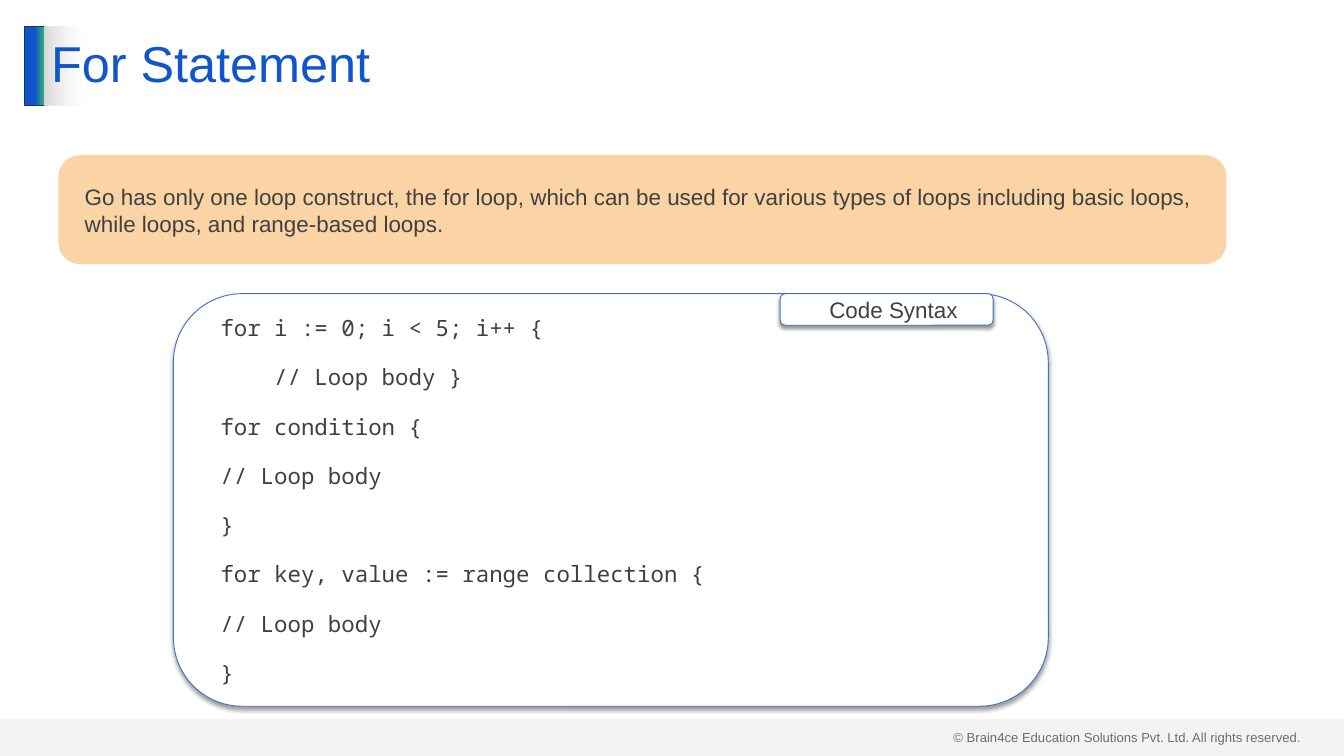
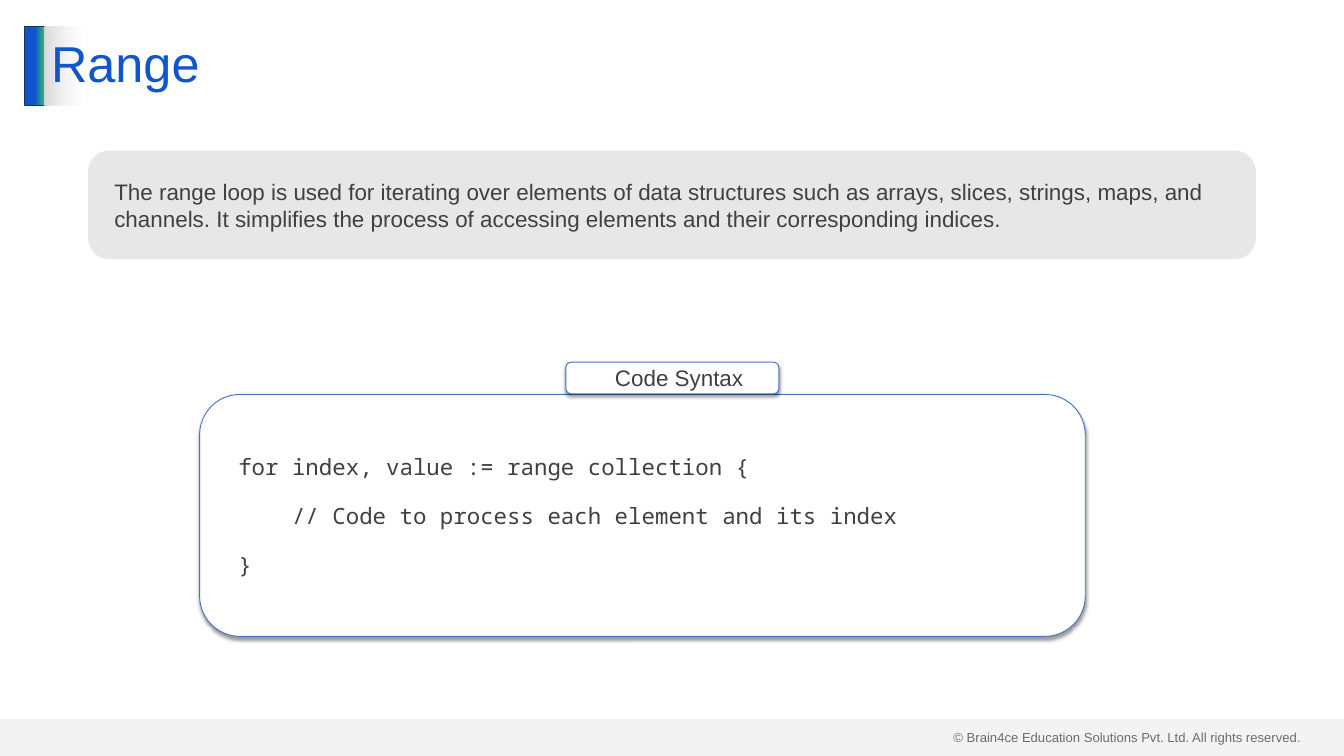
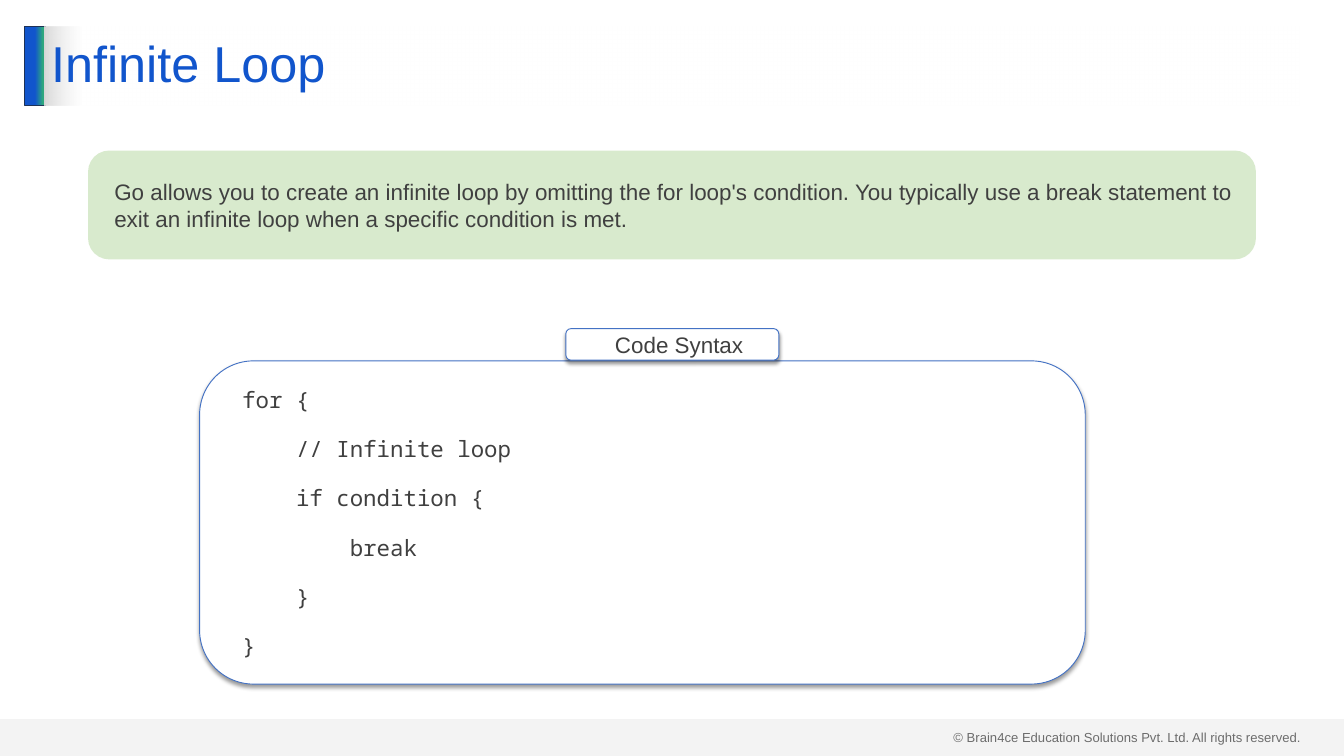
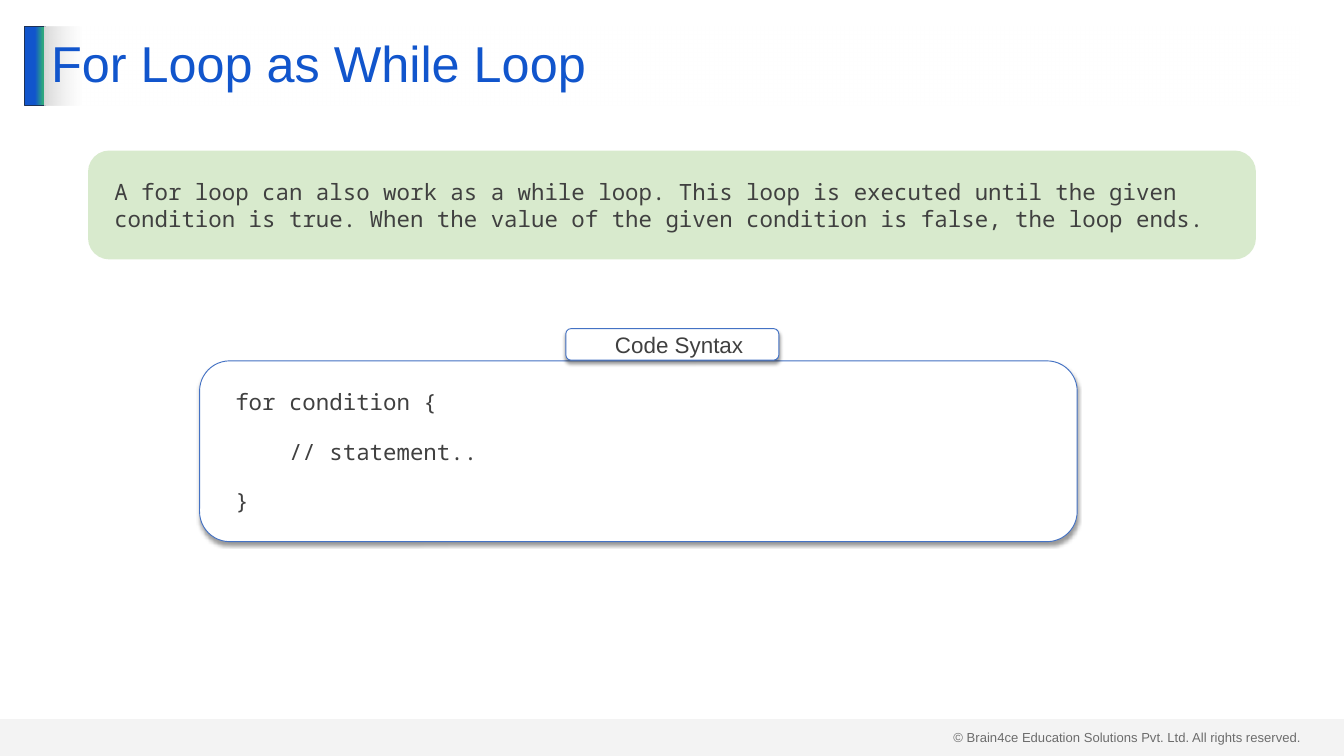
from dataclasses import dataclass

import pptx
import pptx.dml.color
import pptx.enum.shapes
import pptx.enum.text
import pptx.oxml.ns
import pptx.util
from lxml import etree

Inches = pptx.util.Inches
Pt = pptx.util.Pt
qn = pptx.oxml.ns.qn
MSO_SHAPE = pptx.enum.shapes.MSO_SHAPE
PP_ALIGN = pptx.enum.text.PP_ALIGN
MSO_ANCHOR = pptx.enum.text.MSO_ANCHOR
MSO_AUTO_SIZE = pptx.enum.text.MSO_AUTO_SIZE


@dataclass(frozen=True)
class Theme:
    sans: str = "Arial"
    mono: str = "Noto Sans Mono"
    title_size: int = 54
    body_size: int = 24
    footer_size: int = 14
    white: str = "FFFFFF"
    black: str = "000000"
    text: str = "404040"
    blue: str = "1155CC"
    green: str = "2EA87D"
    navy: str = "1E3256"
    outline: str = "4472C4"
    gray: str = "D9D9D9"
    orange_note: str = "FABE79"
    gray_note: str = "DBDBDB"
    green_note: str = "C5E0B4"


def rgb(color):
    return pptx.dml.color.RGBColor.from_string(color)


def add_color(parent, color, alpha=100):
    clr = etree.SubElement(parent, qn("a:srgbClr"), val=color)
    if alpha < 100:
        etree.SubElement(clr, qn("a:alpha"), val=str(alpha * 1000))


class Deck:
    def __init__(self, theme):
        self.theme = theme
        self.prs = pptx.Presentation()
        self.prs.slide_width = Inches(20)
        self.prs.slide_height = Inches(11.25)
        self.layout = self.prs.slide_layouts[5]
        self.s = None

    def new_slide(self, title):
        first = self.s is None
        self.s = self.prs.slides.add_slide(self.layout)
        if first:
            self.decorate_layout()
        self.title(title)

    def decorate_layout(self):
        t = self.theme
        for ph in list(self.layout.placeholders)[1:]:
            ph._element.getparent().remove(ph._element)
        footer = self.s.shapes.add_textbox(*map(Inches, (14.09, 10.8, 5.41, 0.34)))
        tf = footer.text_frame
        tf.word_wrap = True
        tf.auto_size = MSO_AUTO_SIZE.SHAPE_TO_FIT_TEXT
        tf.text = "© Brain4ce Education Solutions Pvt. Ltd. All rights reserved."
        self.font(tf.paragraphs[0], t.sans, t.footer_size, t.text)
        accent = self.shape(MSO_SHAPE.RECTANGLE, (0.37, 0.39, 0.3, 1.18), line=t.navy)
        self.gradient(accent, [(51, t.blue, 100), (90, t.green, 100), (100, t.green, 100)])
        band = self.shape(MSO_SHAPE.RECTANGLE, (0, 10.7, 20, 0.55), t.gray, alpha=29)
        for sp in (footer, accent, band):
            self.layout.shapes._spTree.append(sp._element)

    def font(self, p, name, size, color):
        p.font.name = name
        p.font.size = Pt(size)
        p.font.color.rgb = rgb(color)

    def gradient(self, sp, stops):
        sp.fill.gradient()
        sp.fill.gradient_angle = 0
        stop_list = sp._element.spPr.find(qn("a:gradFill")).find(qn("a:gsLst"))
        for old in list(stop_list):
            stop_list.remove(old)
        for position, color, alpha in stops:
            stop = etree.SubElement(stop_list, qn("a:gs"), pos=str(position * 1000))
            add_color(stop, color, alpha)

    def shape(self, kind, box, fill=None, alpha=100, line=None):
        sp = self.s.shapes.add_shape(kind, *map(Inches, box))
        sp.shadow.inherit = False
        if fill:
            sp.fill.solid()
            sp.fill.fore_color.rgb = rgb(fill)
            if alpha < 100:
                clr = sp._element.spPr.find(qn("a:solidFill"))[0]
                etree.SubElement(clr, qn("a:alpha"), val=str(alpha * 1000))
        if line:
            sp.line.color.rgb = rgb(line)
            sp.line.width = Pt(1)
        else:
            sp.line.fill.background()
        return sp

    def title(self, text):
        t = self.theme
        sp = self.s.shapes.title
        sp.left, sp.top, sp.width, sp.height = map(Inches, (0.66, 0.39, 18.67, 1.18))
        self.gradient(sp, [(0, t.gray, 100), (3, t.white, 50)])
        tf = sp.text_frame
        tf.auto_size = MSO_AUTO_SIZE.NONE
        tf.vertical_anchor = MSO_ANCHOR.MIDDLE
        tf.text = text
        p = tf.paragraphs[0]
        p.alignment = PP_ALIGN.LEFT
        p.line_spacing = 0.9
        self.font(p, t.sans, t.title_size, t.blue)

    def fill_text(self, sp, text, font, align=PP_ALIGN.LEFT):
        tf = sp.text_frame
        tf.word_wrap = True
        tf.vertical_anchor = MSO_ANCHOR.MIDDLE
        tf.text = text
        for i, p in enumerate(tf.paragraphs):
            p.level = 1
            pPr = p._p.get_or_add_pPr()
            pPr.set("marL", str(Inches(0.2)))
            pPr.set("indent", "0")
            p.alignment = align
            if i > 0:
                p.space_before = Pt(12)
            if i < len(tf.paragraphs) - 1:
                p.space_after = Pt(12)
            self.font(p, font, self.theme.body_size, self.theme.text)

    def note(self, left, top, color, text, font):
        box = (left, top, 17.38, 1.62)
        sp = self.shape(MSO_SHAPE.ROUNDED_RECTANGLE, box, color, alpha=66)
        sp.adjustments[0] = 0.195
        self.fill_text(sp, text, font)

    def card(self, box, text, font, align=PP_ALIGN.LEFT):
        t = self.theme
        sp = self.shape(MSO_SHAPE.ROUNDED_RECTANGLE, box, t.white, line=t.outline)
        effects = sp._element.spPr.find(qn("a:effectLst"))
        shadow = etree.SubElement(
            effects, qn("a:outerShdw"), blurRad=str(Pt(4)), dist=str(Pt(3)),
            dir="5400000", algn="t", rotWithShape="0")
        add_color(shadow, t.black, 40)
        tf = sp.text_frame
        tf.margin_left = tf.margin_right = Inches(0.2)
        tf.margin_top = tf.margin_bottom = Inches(0.1)
        self.fill_text(sp, text, font, align)

    def code(self, box, text):
        self.card(box, text, self.theme.mono)

    def tag(self, left, top):
        self.card((left, top, 3.17, 0.47), "Code Syntax", self.theme.sans, PP_ALIGN.CENTER)


FOR_CODE = """for i := 0; i < 5; i++ {
    // Loop body }
for condition {
// Loop body
}
for key, value := range collection {
// Loop body
}"""

RANGE_CODE = """for index, value := range collection {
    // Code to process each element and its index
}"""

INFINITE_CODE = """for {
    // Infinite loop
    if condition {
        break
    }
}"""

WHILE_CODE = """for condition {
    // statement..
}"""


def main():
    t = Theme()
    deck = Deck(t)
    note_at = (1.31, 2.24)
    tag_left, tag_rise = 8.42, 0.48

    deck.new_slide("For Statement")
    deck.code((2.58, 4.37, 13.02, 6.14), FOR_CODE)
    deck.note(0.87, 2.31, t.orange_note,
              "Go has only one loop construct, the for loop, which can be used for various "
              "types of loops including basic loops, while loops, and range-based loops.", t.sans)
    deck.tag(11.61, 4.37)

    loops = [
        ("Range", (2.97, 5.87, 13.18, 3.6), RANGE_CODE, t.gray_note, t.sans,
         "The range loop is used for iterating over elements of data structures such as "
         "arrays, slices, strings, maps, and channels. It simplifies the process of "
         "accessing elements and their corresponding indices."),
        ("Infinite Loop", (2.97, 5.37, 13.18, 4.81), INFINITE_CODE, t.green_note, t.sans,
         "Go allows you to create an infinite loop by omitting the for loop's condition. "
         "You typically use a break statement to exit an infinite loop when a specific "
         "condition is met."),
        ("For Loop as While Loop", (2.97, 5.37, 13.06, 2.69), WHILE_CODE, t.green_note, t.mono,
         "A for loop can also work as a while loop. This loop is executed until the given "
         "condition is true. When the value of the given condition is false, the loop ends."),
    ]
    for title, code_box, code, color, font, text in loops:
        deck.new_slide(title)
        deck.code(code_box, code)
        deck.note(*note_at, color, text, font)
        deck.tag(tag_left, code_box[1] - tag_rise)

    deck.prs.save("out.pptx")


if __name__ == "__main__":
    main()
